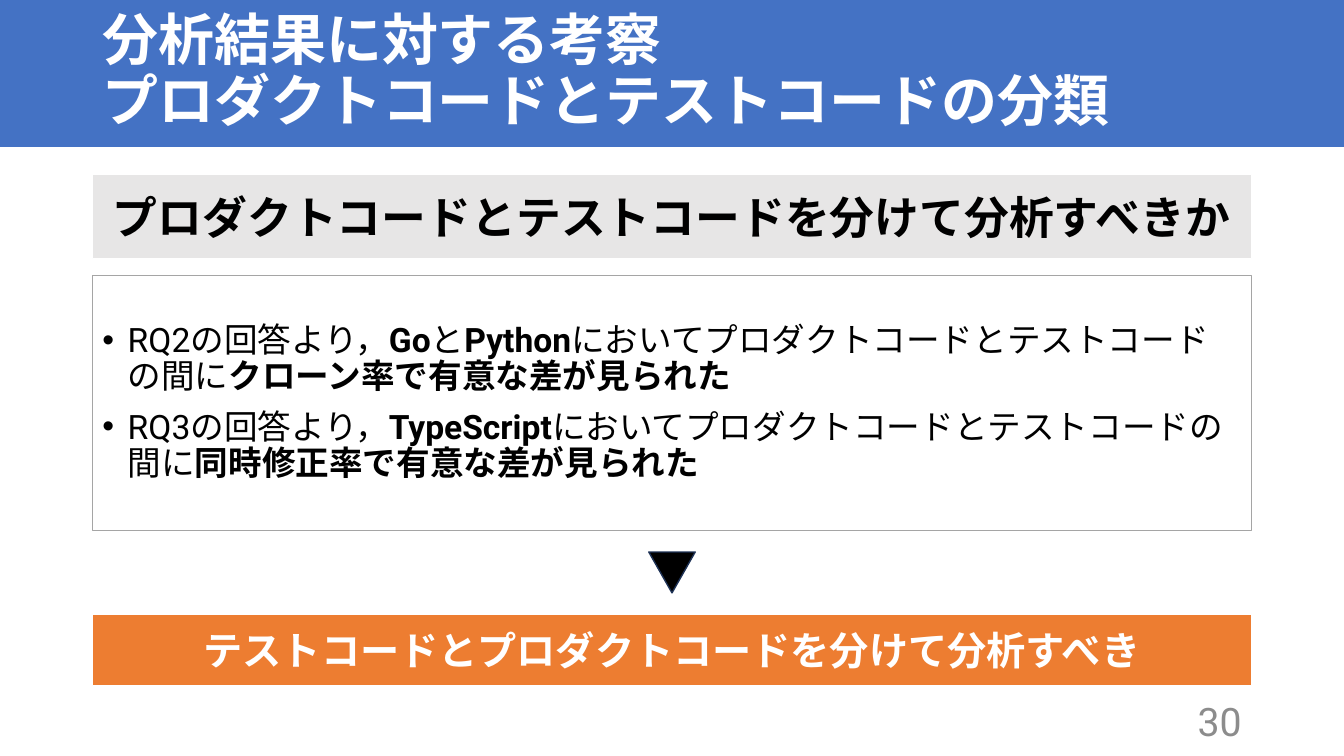
import pptx
import pptx.dml.color
import pptx.enum.lang
import pptx.enum.shapes
import pptx.enum.text
import pptx.oxml
import pptx.util
from pptx.util import Cm

ALIGN = pptx.enum.text.PP_ALIGN
SHAPE = pptx.enum.shapes.MSO_SHAPE
LEFT, WIDTH = Cm(2.33), Cm(29.21)
DRAWING = "http://schemas.openxmlformats.org/drawingml/2006/main"


def colour(code):
    """Turn a hex string into a colour."""
    return pptx.dml.color.RGBColor.from_string(code)


def add_box(page, left, top, width, height, kind=SHAPE.RECTANGLE, fill=None, line=None, weight=1):
    """Add a flat preset shape, with or without fill and line."""
    box = page.shapes.add_shape(kind, left, top, width, height)
    box.shadow.inherit = False
    if fill:
        box.fill.solid()
        box.fill.fore_color.rgb = colour(fill)
    else:
        box.fill.background()
    if line:
        box.line.color.rgb = colour(line)
        box.line.width = pptx.util.Pt(weight)
    else:
        box.line.fill.background()
    return box


def add_label(page, left, top, width, height):
    """Add a text box without fill or line."""
    return page.shapes.add_textbox(left, top, width, height)


def add_span(para, text, size=24, font="Roboto", ink="000000", bold=False):
    """Add one formatted run to a paragraph."""
    span = para.add_run()
    span.text = text
    span.font.size = pptx.util.Pt(size)
    span.font.name = font
    span.font.bold = bold
    span.font.color.rgb = colour(ink)
    span.font.language_id = pptx.enum.lang.MSO_LANGUAGE_ID.JAPANESE


def write(box, text, align=ALIGN.LEFT, spacing=1.0, **style):
    """Write one middle-anchored paragraph, breaking it at newlines."""
    frame = box.text_frame
    frame.word_wrap = True
    frame.vertical_anchor = pptx.enum.text.MSO_ANCHOR.MIDDLE
    para = frame.paragraphs[0]
    para.alignment = align
    para.line_spacing = spacing
    for index, line in enumerate(text.split("\n")):
        if index:
            para.add_line_break()
        add_span(para, line, **style)


def add_bullet(para):
    """Give a paragraph a hanging round bullet."""
    props = para._p.get_or_add_pPr()
    props.set("marL", str(Cm(0.64)))
    props.set("indent", str(-Cm(0.64)))
    for tag, value in (("buFont", 'typeface="Arial"'), ("buChar", 'char="•"')):
        props.append(pptx.oxml.parse_xml(f'<a:{tag} xmlns:a="{DRAWING}" {value}/>'))


def write_findings(box, findings):
    """Write bulleted paragraphs whose spans alternate plain and bold."""
    frame = box.text_frame
    frame.word_wrap = True
    frame.vertical_anchor = pptx.enum.text.MSO_ANCHOR.MIDDLE
    for index, spans in enumerate(findings):
        para = frame.add_paragraph() if index else frame.paragraphs[0]
        para.alignment = ALIGN.LEFT
        para.line_spacing = 0.9
        para.space_before = pptx.util.Pt(10)
        add_bullet(para)
        for place, text in enumerate(spans):
            add_span(para, text, bold=place % 2 == 1)


def main():
    """Build the slide and save the deck."""
    deck = pptx.Presentation()
    deck.slide_width, deck.slide_height = Cm(33.87), Cm(19.05)
    page = deck.slides.add_slide(deck.slide_layouts[6])

    add_box(page, 0, 0, deck.slide_width, Cm(3.7), fill="4472C4")
    title = add_label(page, LEFT, 0, WIDTH, Cm(3.68))
    write(title, "分析結果に対する考察\nプロダクトコードとテストコードの分類",
          spacing=0.9, size=40, ink="FFFFFF", bold=True)

    findings = add_box(page, LEFT, Cm(6.94), WIDTH, Cm(6.43), line="A5A5A5", weight=0.75)
    between = "においてプロダクトコードとテストコードの間に"
    write_findings(findings, [
        ("RQ2の回答より，", "Go", "と", "Python", between, "クローン率で有意な差が見られた"),
        ("RQ3の回答より，", "TypeScript", between, "同時修正率で有意な差が見られた"),
    ])

    number = add_label(page, Cm(23.92), Cm(17.66), Cm(7.62), Cm(1.01))
    write(number, "30", align=ALIGN.RIGHT, size=28, ink="8C8C8C")

    question = add_box(page, LEFT, Cm(4.4), WIDTH, Cm(2.12), fill="E7E6E6", line="FFFFFF")
    write(question, "プロダクトコードとテストコードを分けて分析すべきか",
          align=ALIGN.CENTER, size=32, font="Quicksand", bold=True)

    answer = add_box(page, LEFT, Cm(15.47), WIDTH, Cm(1.8), fill="ED7D31", line="FFFFFF")
    write(answer, "テストコードとプロダクトコードを分けて分析すべき",
          align=ALIGN.CENTER, size=28, font="Quicksand", ink="FFFFFF", bold=True)

    pointer = add_box(page, Cm(16.35), Cm(13.91), Cm(1.17), Cm(1.03),
                      kind=SHAPE.ISOSCELES_TRIANGLE, fill="000000", line="1E3256")
    pointer.rotation = 180

    deck.save("out.pptx")


if __name__ == "__main__":
    main()
